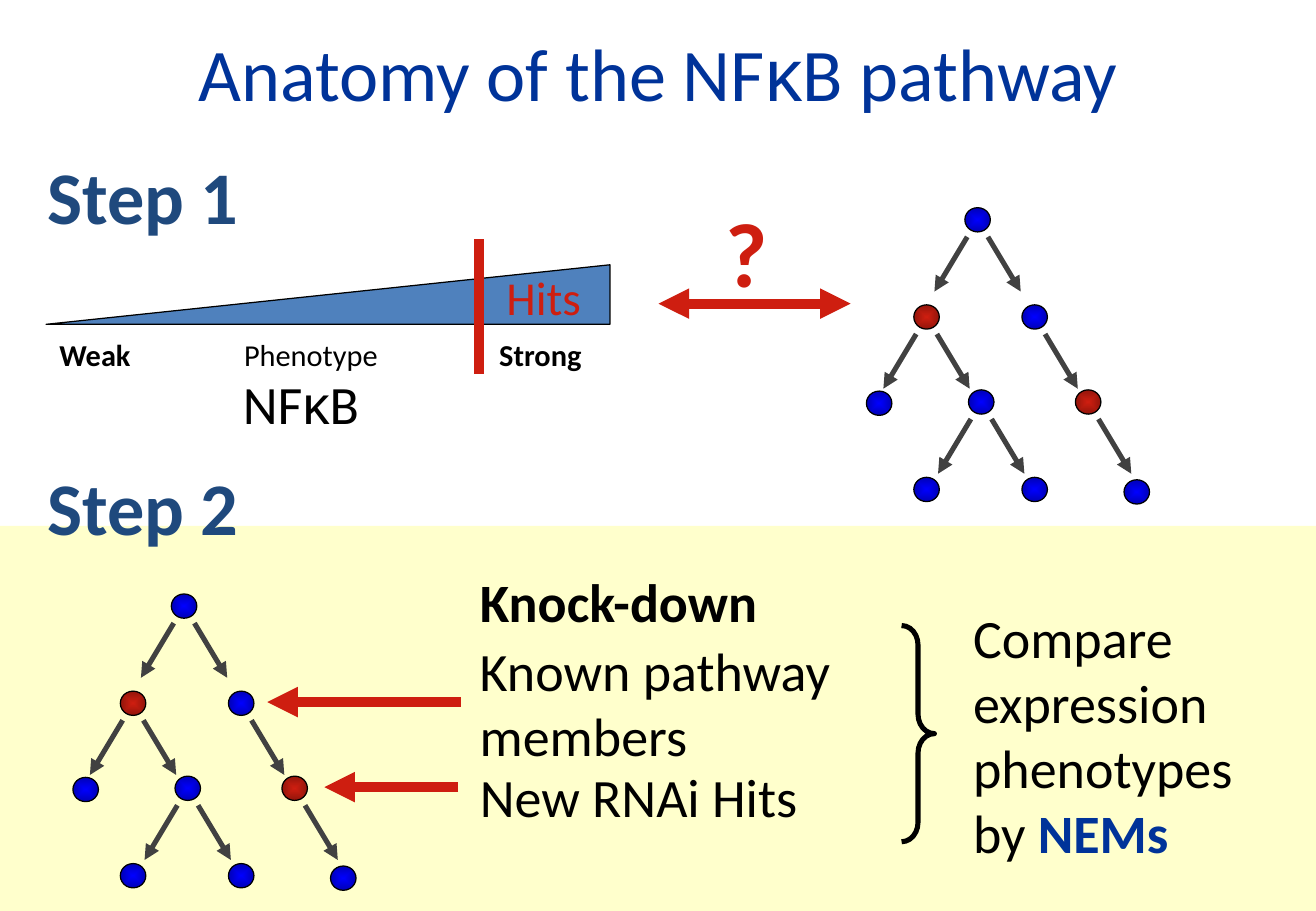
from lxml import etree
from pptx import Presentation
from pptx import util as u
from pptx.dml.color import RGBColor
from pptx.enum import shapes, text
from pptx.oxml import ns

COLORS = {
    "black": "000000", "navy": "003399", "step": "1F497D", "wedge": "4F81BD",
    "cream": "FFFFCC", "edge": "414141", "red": "CE1E10", "dark red": "93150B",
    "blue": "0000FF", "dark blue": "0000B6",
}
PX = u.Inches(0.01)
KAPPA = ("κ", {"font": "Arial"})


class PathwaySlide:
    def __init__(self, deck, layout):
        self.page = deck.slides.add_slide(deck.slide_layouts[layout])

    def color(self, name):
        return RGBColor.from_string(COLORS[name])

    def place(self, item, left, top, width, height):
        item.left, item.top = left * PX, top * PX
        item.width, item.height = width * PX, height * PX

    def add_text(self, frame, paragraphs, size, color="black", bold=False, align=None):
        for index, spans in enumerate(paragraphs):
            para = frame.add_paragraph() if index else frame.paragraphs[0]
            para.alignment = align
            for words, style in spans:
                span = para.add_run()
                span.text = words
                span.font.size = u.Pt(size)
                span.font.name = style.get("font", "Calibri")
                span.font.bold = style.get("bold", bold)
                span.font.color.rgb = self.color(style.get("color", color))

    def title(self, spans, *area):
        box = self.page.shapes.title
        self.place(box, *area)
        box.text_frame.vertical_anchor = text.MSO_ANCHOR.MIDDLE
        self.add_text(box.text_frame, [spans], 44, "navy", align=text.PP_ALIGN.CENTER)

    def label(self, area, paragraphs, size, **style):
        box = self.page.shapes.add_textbox(*[value * PX for value in area])
        box.text_frame.word_wrap = False
        box.text_frame.auto_size = text.MSO_AUTO_SIZE.SHAPE_TO_FIT_TEXT
        self.add_text(box.text_frame, paragraphs, size, **style)

    def plain(self, area, words, size, **style):
        self.label(area, [[(line, {})] for line in words], size, **style)

    def shape(self, kind, area, fill=None, line=None, weight=0.75):
        item = self.page.shapes.add_shape(kind, *[value * PX for value in area])
        item.shadow.inherit = False
        if fill:
            item.fill.solid()
            item.fill.fore_color.rgb = self.color(fill)
        else:
            item.fill.background()
        if line:
            item.line.color.rgb = self.color(line)
            item.line.width = u.Pt(weight)
        else:
            item.line.fill.background()
        return item

    def node(self, left, top, hue):
        item = self.shape(shapes.MSO_SHAPE.OVAL, (left, top, 21, 20), line="black")
        item.fill.gradient()
        for stop, name in zip(item.fill.gradient_stops, (hue, "dark " + hue)):
            stop.color.rgb = self.color(name)
        linear = item._element.spPr.find(".//" + ns.qn("a:lin"))
        radial = etree.Element(ns.qn("a:path"), {"path": "shape"})
        etree.SubElement(radial, ns.qn("a:fillToRect"),
                         dict.fromkeys("ltrb", "50000"))
        linear.getparent().replace(linear, radial)

    def line(self, start, end, color, weight, heads=()):
        ends = [value * PX for value in (*start, *end)]
        item = self.page.shapes.add_connector(shapes.MSO_CONNECTOR.STRAIGHT, *ends)
        item.line.color.rgb = self.color(color)
        item.line.width = u.Pt(weight)
        outline = item._element.spPr.find(ns.qn("a:ln"))
        for head in heads:
            etree.SubElement(outline, ns.qn("a:" + head), type="triangle")
        etree.SubElement(item._element.spPr, ns.qn("a:effectLst"))

    def tree(self, left, top):
        nodes = [
            (0, 0, "blue", "LR"), (-42, 80, "red", "LR"), (47, 80, "blue", "R"),
            (3, 150, "blue", "LR"), (91, 150, "red", "R"), (-42, 222, "blue", ""),
            (47, 222, "blue", ""), (-81, 151, "blue", ""), (131, 224, "blue", ""),
        ]
        for right, down, hue, branches in nodes:
            x, y = left + right, top + down
            self.node(x, y, hue)
            for branch in branches:
                start, run = (2, -27) if branch == "L" else (19, 27)
                self.line((x + start, y + 24), (x + start + run, y + 69),
                          "edge", 3, ["tailEnd"])


def main():
    deck = Presentation()
    deck.slide_width, deck.slide_height = 1083 * PX, 750 * PX
    slide = PathwaySlide(deck, 5)
    kinds = shapes.MSO_SHAPE

    slide.shape(kinds.RECTANGLE, (0, 433, 1083, 317), "cream")
    slide.title([("Anatomy of the NF", {}), KAPPA, ("B pathway", {})],
                0, -3, 1083, 125)
    for step, top in (("Step 1", 119), ("Step 2", 375)):
        slide.plain((29, top, 192, 84), [step], 44, color="step", bold=True)

    wedge = slide.shape(kinds.RIGHT_TRIANGLE, (38, 218, 464, 49), "wedge", "black")
    wedge._element.spPr.xfrm.set("flipH", "1")
    for words, left, width, bold in (("Weak", 39, 83, True),
                                     ("Phenotype", 191, 135, False),
                                     ("Strong", 401, 97, True)):
        slide.plain((left, 272, width, 40), [words], 18, bold=bold)
    slide.label((190, 300, 120, 64), [[("NF", {}), KAPPA, ("B", {})]], 32)
    slide.line((394, 197), (394, 308), "red", 6)
    slide.plain((407, 216, 84, 57), ["Hits"], 28, color="red")

    slide.plain((587, 157, 54, 101), ["?"], 54, color="red", bold=True)
    slide.line((542, 250), (700, 250), "red", 6, ["headEnd", "tailEnd"])
    slide.tree(794, 171)

    slide.tree(141, 489)
    slide.line((379, 578), (220, 578), "red", 6, ["tailEnd"])
    slide.line((377, 648), (267, 648), "red", 6, ["tailEnd"])
    slide.plain((385, 463, 272, 64), ["Knock-down"], 32, bold=True)
    slide.plain((385, 520, 323, 118), ["Known pathway", "members"], 32)
    slide.plain((385, 624, 289, 64), ["New RNAi Hits"], 32)

    brace = slide.shape(kinds.RIGHT_BRACE, (742, 515, 27, 178),
                        line="black", weight=3)
    brace.adjustments[0] = 0.59
    slide.label((791, 493, 246, 226), [
        [("Compare", {})], [("expression", {})], [("phenotypes", {})],
        [("by ", {}), ("NEMs", {"color": "navy", "bold": True})],
    ], 32)

    deck.save("out.pptx")


if __name__ == "__main__":
    main()
